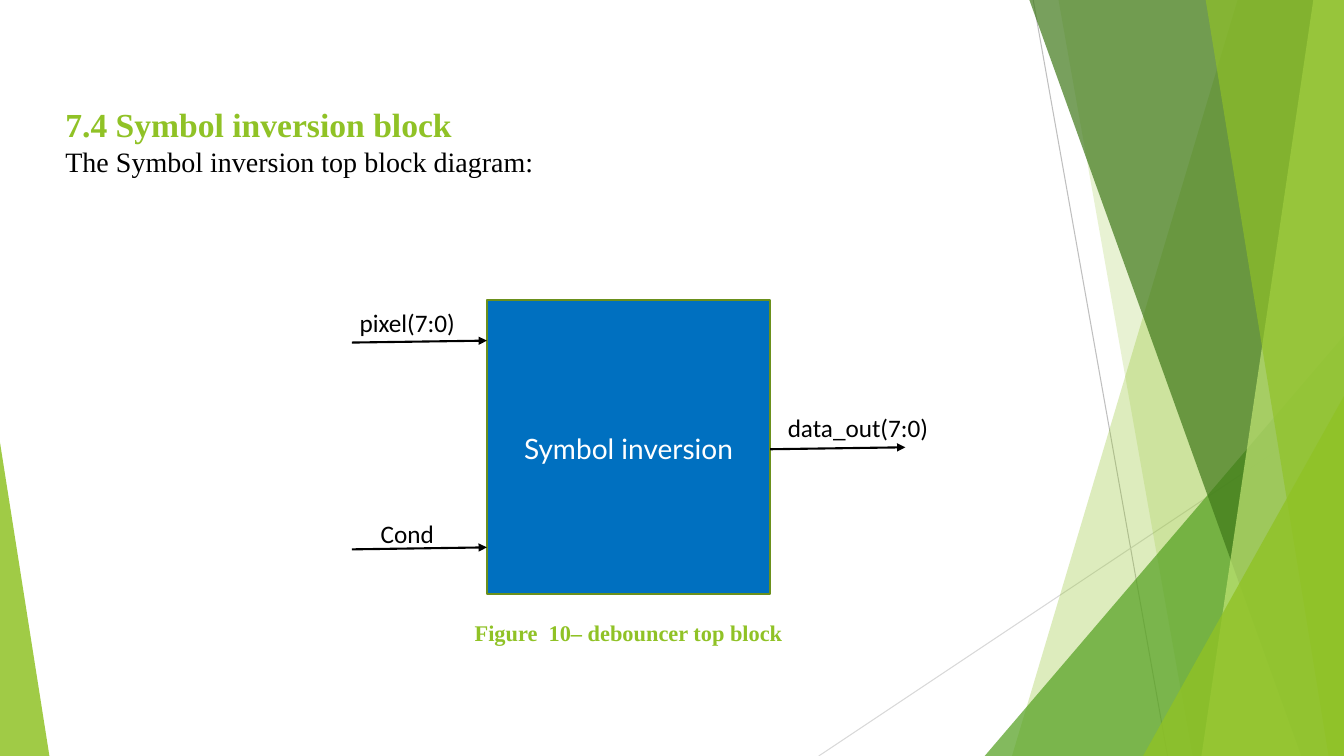
from dataclasses import dataclass

from pptx import Presentation
from pptx.dml.color import RGBColor
from pptx.enum.shapes import MSO_CONNECTOR, MSO_SHAPE
from pptx.enum.text import MSO_ANCHOR, MSO_AUTO_SIZE, PP_ALIGN
from pptx.oxml.ns import qn
from pptx.oxml.xmlchemy import OxmlElement
from pptx.shapes.autoshape import Shape
from pptx.slide import Slide
from pptx.util import Pt

STRAIGHT = MSO_CONNECTOR.STRAIGHT
TRIANGLE, RECTANGLE = MSO_SHAPE.ISOSCELES_TRIANGLE, MSO_SHAPE.RECTANGLE
MIDDLE, TOP = MSO_ANCHOR.MIDDLE, MSO_ANCHOR.TOP
LEFT, CENTER = PP_ALIGN.LEFT, PP_ALIGN.CENTER
FIT_TEXT, FIXED = MSO_AUTO_SIZE.SHAPE_TO_FIT_TEXT, MSO_AUTO_SIZE.NONE

WIDTH, HEIGHT = 960, 540
FACET_TOP = -0.6
GREEN, BLACK, WHITE, BLUE = "90C226", "000000", "FFFFFF", "0070C0"
SERIF = "Times New Roman"
BLOCK_LEFT, BLOCK_TOP, BLOCK_WIDTH, BLOCK_HEIGHT = 347.8, 214.4, 202.4, 210
BLOCK_RIGHT = BLOCK_LEFT + BLOCK_WIDTH
ARROW_LENGTH, ARROW_RISE = 96.5, 1.4


@dataclass
class Facet:
    """Band that reaches the right edge, with a slanted left side."""
    top_left: float
    bottom_left: float
    color: str
    opacity: int


@dataclass
class Corner:
    """Right triangle that stands on the bottom edge."""
    left: float
    top: float
    width: float
    apex: float
    color: str
    opacity: int


@dataclass
class Line:
    start: tuple[float, float]
    end: tuple[float, float]
    color: str
    weight: float
    arrow: bool = False


@dataclass
class Style:
    font: str
    size: float
    color: str
    bold: bool = False
    align: PP_ALIGN = CENTER
    line_spacing: float = 1.0
    space_after: float = 0


@dataclass
class Label:
    text: str
    left: float
    top: float
    width: float
    height: float
    style: Style
    wrap: bool = False


@dataclass
class Signal:
    name: str
    arrow_left: float
    arrow_y: float
    label_left: float
    label_top: float
    label_width: float


SIGNAL_STYLE = Style("Calibri", 18, BLACK, line_spacing=1.07, space_after=8)
BLOCK_STYLE = Style("Lato", 20, WHITE, line_spacing=1.07, space_after=8)

BACKDROP_LINES = [
    Line((738, 0), (834, HEIGHT), "BFBFBF", 0.75),
    Line((WIDTH, 290), (584.8, HEIGHT), "D9D9D9", 0.75),
]
BACKDROP = [
    Facet(884.2, 722.9, GREEN, 30),
    Facet(756, 851.8, GREEN, 20),
    Corner(703.4, 239.8, 256.6, 1, "54A021", 72),
    Facet(735.1, 929.5, "3F7819", 70),
    Facet(938.2, 858.2, "C0E474", 70),
    Facet(861.1, 949, GREEN, 65),
    Corner(816.5, 283, 143.5, 1, GREEN, 80),
    Corner(0, 316.1, 35.3, 0, GREEN, 85),
]
LABELS = [
    Label("Figure  10– debouncer top block", 330.5, 438.5, 236.9, 26.6,
          Style(SERIF, 16, GREEN, bold=True, space_after=10)),
    Label("7.4\tSymbol inversion block", 39.6, 70.6, 335.5, 36,
          Style(SERIF, 24, GREEN, bold=True, align=LEFT)),
    Label("The Symbol inversion top block diagram:", 39.6, 99.4, 351.4, 31.7,
          Style(SERIF, 20, BLACK, align=LEFT)),
]
INPUT_LEFT = BLOCK_LEFT - ARROW_LENGTH
SIGNALS = [
    Signal("pixel(7:0)", INPUT_LEFT, 244.7, 234, 214.6, 113.8),
    Signal("Cond", INPUT_LEFT, 392.4, 234, 365, 113.8),
    Signal("data_out(7:0)", BLOCK_RIGHT, 320.9, BLOCK_RIGHT, 289.4, 125.3),
]


def rgb(color: str) -> RGBColor:
    return RGBColor.from_string(color)


def paint(shape: Shape, color: str, opacity: int = 100) -> None:
    shape.shadow.inherit = False
    shape.fill.solid()
    shape.fill.fore_color.rgb = rgb(color)
    shape.line.fill.background()
    if opacity < 100:
        alpha = OxmlElement("a:alpha")
        alpha.set("val", str(opacity * 1000))
        solid_fill = shape.element.spPr.find(qn("a:solidFill"))
        solid_fill.find(qn("a:srgbClr")).append(alpha)


def draw_facet(slide: Slide, facet: Facet) -> None:
    builder = slide.shapes.build_freeform(Pt(facet.top_left), Pt(FACET_TOP))
    corners = [(WIDTH, FACET_TOP), (WIDTH, HEIGHT), (facet.bottom_left, HEIGHT)]
    builder.add_line_segments([(Pt(x), Pt(y)) for x, y in corners], close=True)
    paint(builder.convert_to_shape(), facet.color, facet.opacity)


def draw_corner(slide: Slide, corner: Corner) -> None:
    shape = slide.shapes.add_shape(TRIANGLE, Pt(corner.left), Pt(corner.top),
                                   Pt(corner.width), Pt(HEIGHT - corner.top))
    shape.adjustments[0] = corner.apex
    paint(shape, corner.color, corner.opacity)


def draw_line(slide: Slide, line: Line) -> None:
    connector = slide.shapes.add_connector(
        STRAIGHT, *(Pt(value) for value in line.start + line.end))
    connector.line.color.rgb = rgb(line.color)
    connector.line.width = Pt(line.weight)
    properties = connector.element.spPr
    if line.arrow:
        arrowhead = OxmlElement("a:tailEnd")
        arrowhead.set("type", "triangle")
        properties.find(qn("a:ln")).append(arrowhead)
    properties.append(OxmlElement("a:effectLst"))


def write_text(shape: Shape, text: str, style: Style) -> None:
    paragraph = shape.text_frame.paragraphs[0]
    paragraph.alignment = style.align
    paragraph.line_spacing = style.line_spacing
    paragraph.space_after = Pt(style.space_after)
    run = paragraph.add_run()
    run.text = text
    run.font.name = style.font
    run.font.size = Pt(style.size)
    run.font.bold = style.bold
    run.font.color.rgb = rgb(style.color)


def draw_label(slide: Slide, label: Label) -> None:
    box = slide.shapes.add_textbox(Pt(label.left), Pt(label.top),
                                   Pt(label.width), Pt(label.height))
    box.text_frame.word_wrap = label.wrap
    box.text_frame.auto_size = FIXED if label.wrap else FIT_TEXT
    box.text_frame.vertical_anchor = TOP
    write_text(box, label.text, label.style)


def draw_block(slide: Slide) -> None:
    block = slide.shapes.add_shape(RECTANGLE, Pt(BLOCK_LEFT), Pt(BLOCK_TOP),
                                   Pt(BLOCK_WIDTH), Pt(BLOCK_HEIGHT))
    paint(block, BLUE)
    block.line.color.rgb = rgb("6B901C")
    block.line.width = Pt(1.5)
    block.text_frame.word_wrap = True
    block.text_frame.vertical_anchor = MIDDLE
    write_text(block, "Symbol inversion", BLOCK_STYLE)


def draw_signal(slide: Slide, signal: Signal) -> None:
    start = (signal.arrow_left, signal.arrow_y)
    end = (signal.arrow_left + ARROW_LENGTH, signal.arrow_y - ARROW_RISE)
    draw_line(slide, Line(start, end, BLACK, 1.5, arrow=True))
    draw_label(slide, Label(signal.name, signal.label_left, signal.label_top,
                            signal.label_width, 29, SIGNAL_STYLE, wrap=True))


def main() -> None:
    presentation = Presentation()
    presentation.slide_width, presentation.slide_height = Pt(WIDTH), Pt(HEIGHT)
    slide = presentation.slides.add_slide(presentation.slide_layouts[6])
    # Green backdrop
    for line in BACKDROP_LINES:
        draw_line(slide, line)
    for part in BACKDROP:
        if isinstance(part, Facet):
            draw_facet(slide, part)
        else:
            draw_corner(slide, part)
    # Block diagram with heading and caption
    draw_block(slide)
    for label in LABELS:
        draw_label(slide, label)
    for signal in SIGNALS:
        draw_signal(slide, signal)
    presentation.save("out.pptx")


if __name__ == "__main__":
    main()
